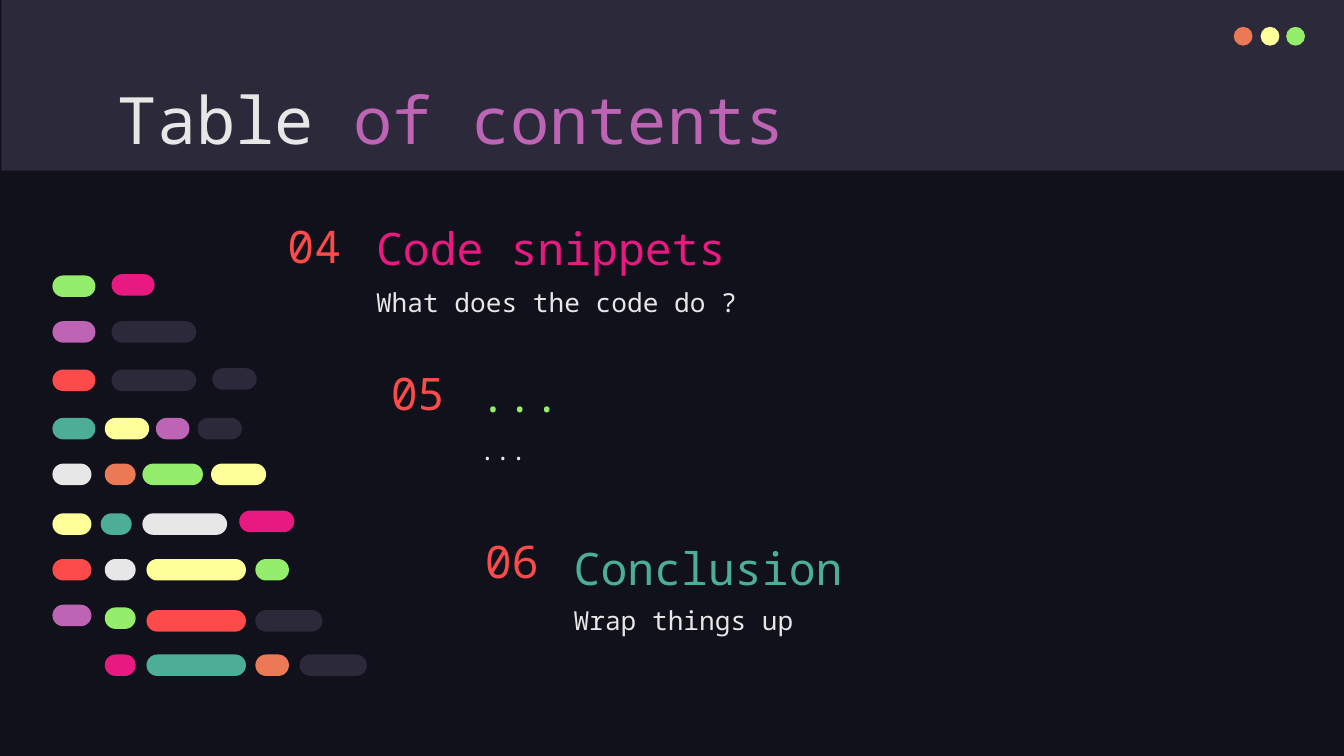
"""Build a dark contents slide with three entries and a pattern of code bars."""
import pptx
import pptx.util
import pptx.dml.color
import pptx.enum.shapes
import pptx.enum.text

INK = {"night": "10111A", "slate": "2C293A", "white": "E7E7E7", "plum": "BD64B5",
       "red": "FD4A4A", "pink": "E81A81", "green": "94EE6B", "teal": "4CAE97",
       "orange": "EC7955", "yellow": "FFFF99"}
FONT = "Noto Sans Mono"
COLS = 1000
WIDE = pptx.util.Inches(10)
HIGH = WIDE * 9 // 16

TITLE = [("Table ", "white"), ("of contents", "plum")]
ITEMS = [
    ("04", "Code snippets", "pink", "What does the code do ?", 270, 161, 43, 39),
    ("05", "...", "green", "...", 347, 271, 43, 39),
    ("06", "Conclusion", "teal", "Wrap things up", 417, 399, 36, 37),
]
DOTS = [(918, "orange"), (938, "yellow"), (957, "green")]
BARS = [
    (205, [(39, 32, "green")]),
    (204, [(83, 32, "pink")]),
    (239, [(39, 32, "plum"), (83, 63, "slate")]),
    (275, [(39, 32, "red"), (83, 63, "slate")]),
    (274, [(158, 33, "slate")]),
    (311, [(39, 32, "teal"), (78, 33, "yellow"), (116, 25, "plum"), (147, 33, "slate")]),
    (345, [(39, 29, "white"), (78, 23, "orange"), (106, 45, "green"), (157, 41, "yellow")]),
    (382, [(39, 29, "yellow"), (75, 23, "teal"), (106, 63, "white")]),
    (380, [(178, 41, "pink")]),
    (416, [(39, 29, "red"), (78, 23, "white"), (109, 74, "yellow"), (190, 25, "green")]),
    (450, [(39, 29, "plum")]),
    (452, [(78, 23, "green")]),
    (454, [(109, 74, "red"), (190, 50, "slate")]),
    (487, [(78, 23, "pink"), (109, 74, "teal"), (190, 25, "orange"), (223, 50, "slate")]),
]

KIND = pptx.enum.shapes.MSO_SHAPE
ANCHOR = pptx.enum.text.MSO_ANCHOR


def hue(name):
    return pptx.dml.color.RGBColor.from_string(INK[name])


def place(box):
    return [WIDE * part // COLS for part in box]


def draw(shapes, kind, box, color):
    shape = shapes.add_shape(kind, *place(box))
    shape.shadow.inherit = False
    shape.fill.solid()
    shape.fill.fore_color.rgb = hue(color)
    shape.line.fill.background()
    return shape


def write(shapes, runs, box, size=14, anchor=ANCHOR.TOP, space=1.0):
    frame = shapes.add_textbox(*place(box)).text_frame
    frame.word_wrap = True
    frame.vertical_anchor = anchor
    frame.margin_left = frame.margin_right = pptx.util.Inches(0.1)
    frame.margin_top = frame.margin_bottom = pptx.util.Inches(0.1)
    line = frame.paragraphs[0]
    line.line_spacing = space
    for text, color in runs:
        run = line.add_run()
        run.text = text
        run.font.name = FONT
        run.font.size = pptx.util.Pt(size)
        run.font.color.rgb = hue(color)


def main():
    deck = pptx.Presentation()
    deck.slide_width, deck.slide_height = WIDE, HIGH
    slide = deck.slides.add_slide(deck.slide_layouts[6])
    slide.background.fill.solid()
    slide.background.fill.fore_color.rgb = hue("night")
    shapes = slide.shapes

    draw(shapes, KIND.RECTANGLE, (1, 0, COLS - 1, 127), "slate")
    dots = shapes.add_group_shape().shapes
    for col, color in DOTS:
        draw(dots, KIND.OVAL, (col, 20, 14, 14), color)

    write(shapes, TITLE, (78, 49, 843, 63), size=35)
    for num, head, color, note, col, row, high, drop in ITEMS:
        write(shapes, [(num, "red")], (col - 66, row, 66, high), size=24, anchor=ANCHOR.MIDDLE)
        write(shapes, [(head, color)], (col, row, 460, 53), size=24,
              anchor=ANCHOR.BOTTOM, space=1.15)
        write(shapes, [(note, "white")], (col, row + drop, 460, 63), space=1.15)

    code = shapes.add_group_shape().shapes
    for row, bars in BARS:
        for col, wide, color in bars:
            bar = draw(code, KIND.ROUNDED_RECTANGLE, (col, row, wide, 16), color)
            bar.adjustments[0] = 0.5

    deck.save("out.pptx")


if __name__ == "__main__":
    main()
